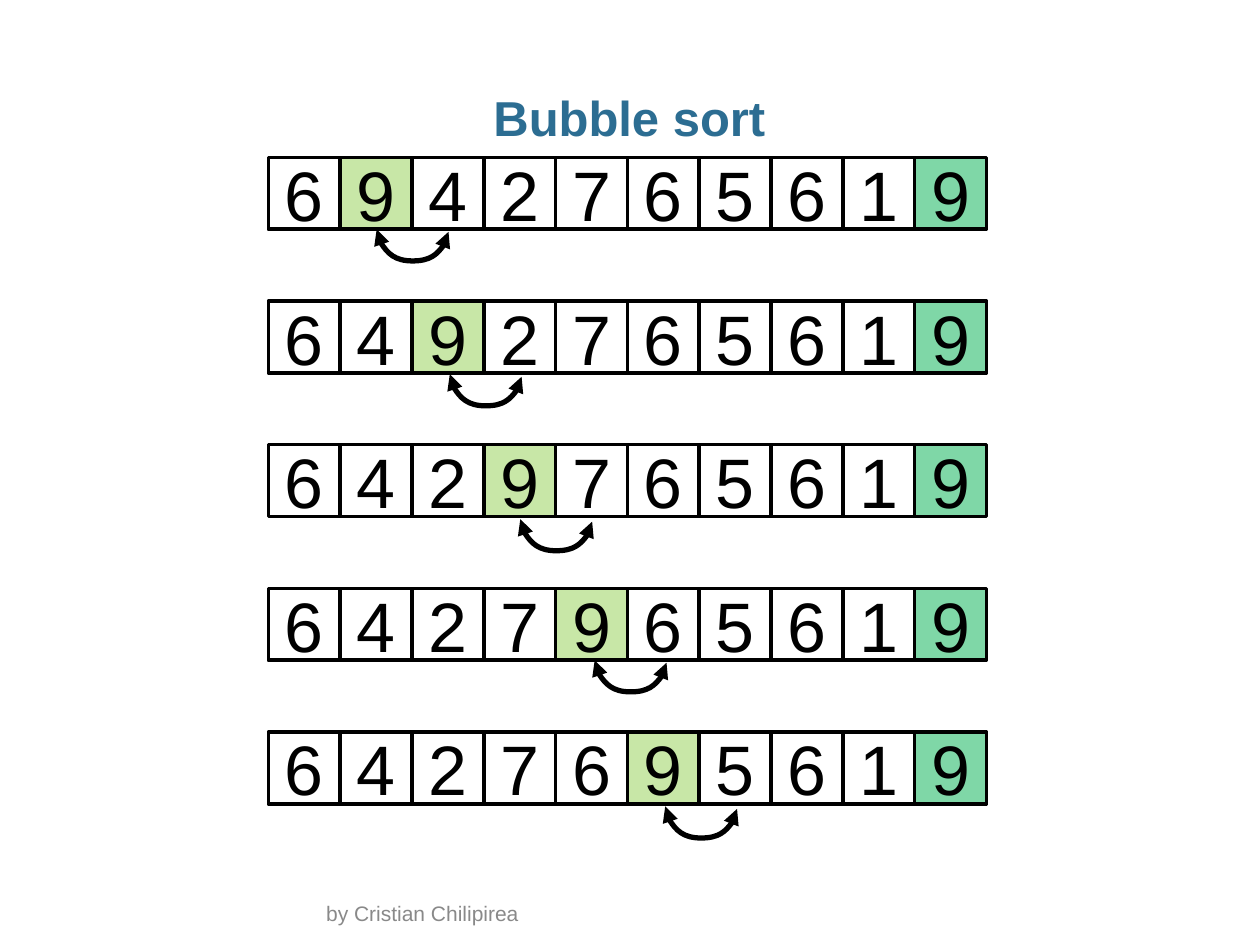
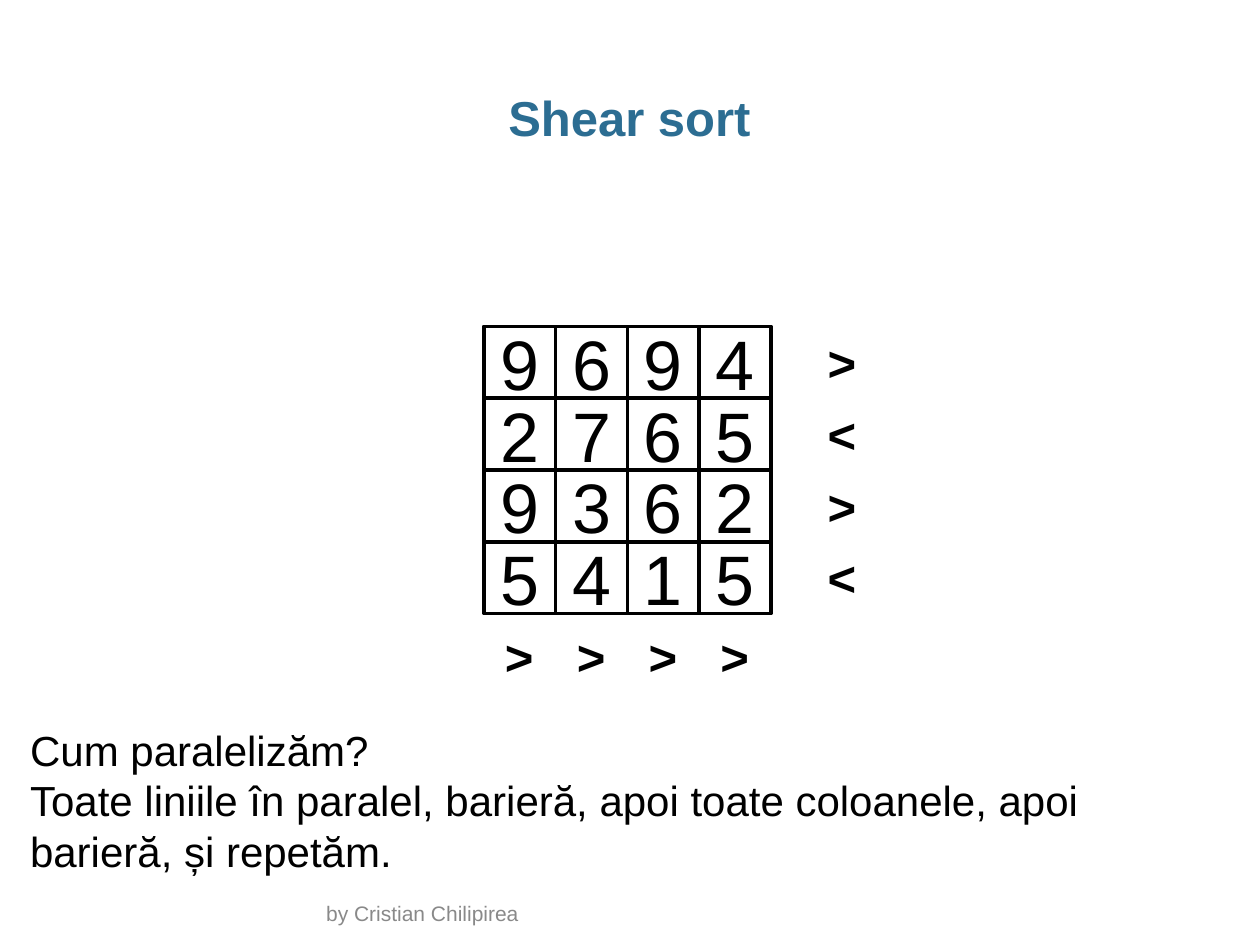
"""Build two slides that show the steps of bubble sort and shear sort."""
from lxml.etree import SubElement
from pptx import Presentation
from pptx.dml.color import RGBColor
from pptx.enum.shapes import MSO_CONNECTOR, MSO_SHAPE
from pptx.enum.text import MSO_ANCHOR, MSO_AUTO_SIZE, PP_ALIGN
from pptx.oxml.ns import qn
from pptx.util import Inches, Pt

COLORS = {"title": "2C6D92", "ink": "000000", "footer": "898989",
          "bubble": "92D050", "sorted": "00B050"}
FONT = "Arial"
CELL = 0.57
ROW_PITCH = 2 * CELL
ARRAY_LEFT, ARRAY_TOP = 2.13, 1.25
MATRIX_LEFT, MATRIX_TOP = 3.84, 2.59
ARROW_RISE, ARROW_DEPTH = 0.02, 0.25

NUMBERS = [6, 9, 4, 2, 7, 6, 5, 6, 1, 9]
SWAP_STARTS = [(2.99, 1.82), (3.57, 2.97), (4.13, 4.12), (4.72, 5.24), (5.28, 6.4)]
MATRIX = ["9694", "2765", "9362", "5415"]
ROW_ORDERS = "><><"
COLUMN_ORDERS = ">>>>"
QUESTION = ["Cum paralelizăm?",
            "Toate liniile în paralel, barieră, apoi toate coloanele, "
            "apoi barieră, și repetăm."]


def rgb(name):
    return RGBColor.from_string(COLORS[name])


def write(frame, *lines, size, color="ink", bold=False, align=PP_ALIGN.LEFT,
          anchor=MSO_ANCHOR.TOP, spacing=None, wrap=True, fit=MSO_AUTO_SIZE.NONE):
    frame.auto_size = fit
    frame.word_wrap = wrap
    frame.vertical_anchor = anchor
    for index, line in enumerate(lines):
        paragraph = frame.add_paragraph() if index else frame.paragraphs[0]
        paragraph.alignment = align
        paragraph.line_spacing = spacing
        run = paragraph.add_run()
        run.text = line
        run.font.name = FONT
        run.font.size = Pt(size)
        run.font.bold = bold
        run.font.color.rgb = rgb(color)


def add_text(slide, left, top, width, height, *lines, **style):
    area = slide.shapes.add_textbox(*map(Inches, (left, top, width, height)))
    write(area.text_frame, *lines, **style)


def add_sort_slide(deck, heading):
    slide = deck.slides.add_slide(deck.slide_layouts[5])
    title = slide.shapes.title
    title.left, title.top, title.width, title.height = map(Inches, (0.34, 0.68, 9.31, 0.5))
    title.text_frame.margin_left = title.text_frame.margin_right = 0
    write(title.text_frame, heading, size=28, color="title", bold=True,
          align=PP_ALIGN.CENTER, spacing=0.95)
    add_text(slide, 2.49, 7.16, 5.02, 0.24, "by Cristian Chilipirea",
             size=12, color="footer", anchor=MSO_ANCHOR.BOTTOM)
    return slide


def add_cell(slide, left, top, value, highlight=None):
    cell = slide.shapes.add_shape(MSO_SHAPE.RECTANGLE, Inches(left), Inches(top),
                                  Inches(CELL), Inches(CELL))
    cell.shadow.inherit = False
    cell.line.color.rgb = rgb("ink")
    cell.line.width = Pt(2)
    if highlight:
        cell.fill.solid()
        cell.fill.fore_color.rgb = rgb(highlight)
        tint = cell.fill._xPr.find(qn("a:solidFill"))[0]
        SubElement(tint, qn("a:alpha"), val="50000")
    else:
        cell.fill.background()
    write(cell.text_frame, str(value), size=40, align=PP_ALIGN.CENTER,
          anchor=MSO_ANCHOR.MIDDLE)


def add_row(slide, left, top, values, highlights=None):
    for column, value in enumerate(values):
        add_cell(slide, left + column * CELL, top, value, (highlights or {}).get(column))


def add_swap_arrow(slide, x, y):
    """Draw a U-shaped double arrow from (x, y) to the next cell, as a connector turned by 270 degrees."""
    middle_x, middle_y = x + CELL / 2, y + ARROW_RISE / 2
    arrow = slide.shapes.add_connector(
        MSO_CONNECTOR.CURVE,
        Inches(middle_x + ARROW_RISE / 2), Inches(middle_y - CELL / 2),
        Inches(middle_x - ARROW_RISE / 2), Inches(middle_y + CELL / 2))
    arrow.line.color.rgb = rgb("ink")
    arrow.line.width = Pt(3)
    properties = arrow._element.spPr
    properties.find(qn("a:xfrm")).set("rot", str(270 * 60000))
    adjustments = properties.find(qn("a:prstGeom")).get_or_add_avLst()
    bend = round(ARROW_DEPTH / ARROW_RISE * 100000)
    SubElement(adjustments, qn("a:gd"), name="adj1", fmla=f"val {bend}")
    for end in ("a:headEnd", "a:tailEnd"):
        SubElement(properties.find(qn("a:ln")), qn(end), type="triangle")
    SubElement(properties, qn("a:effectLst"))


def build_bubble_sort(deck):
    slide = add_sort_slide(deck, "Bubble sort")
    values = list(NUMBERS)
    for step, start in enumerate(SWAP_STARTS):
        bubble = step + 1
        add_row(slide, ARRAY_LEFT, ARRAY_TOP + step * ROW_PITCH, values,
                {bubble: "bubble", len(values) - 1: "sorted"})
        add_swap_arrow(slide, *start)
        values[bubble], values[bubble + 1] = values[bubble + 1], values[bubble]


def add_order(slide, left, top, sign):
    add_text(slide, left, top, 0.43, CELL, sign, size=28, bold=True,
             wrap=False, fit=MSO_AUTO_SIZE.SHAPE_TO_FIT_TEXT)


def build_shear_sort(deck):
    slide = add_sort_slide(deck, "Shear sort")
    for row, (values, order) in enumerate(zip(MATRIX, ROW_ORDERS)):
        top = MATRIX_TOP + row * CELL
        add_row(slide, MATRIX_LEFT, top, values)
        add_order(slide, 6.47, top, order)
    for column, order in enumerate(COLUMN_ORDERS):
        add_order(slide, MATRIX_LEFT + 0.07 + column * CELL, 4.92, order)
    add_text(slide, 0.14, 5.7, 9.52, 1.31, *QUESTION, size=24,
             fit=MSO_AUTO_SIZE.SHAPE_TO_FIT_TEXT)


def main():
    deck = Presentation()
    deck.slide_width, deck.slide_height = Inches(10), Inches(7.5)
    build_bubble_sort(deck)
    build_shear_sort(deck)
    deck.save("out.pptx")


if __name__ == "__main__":
    main()
